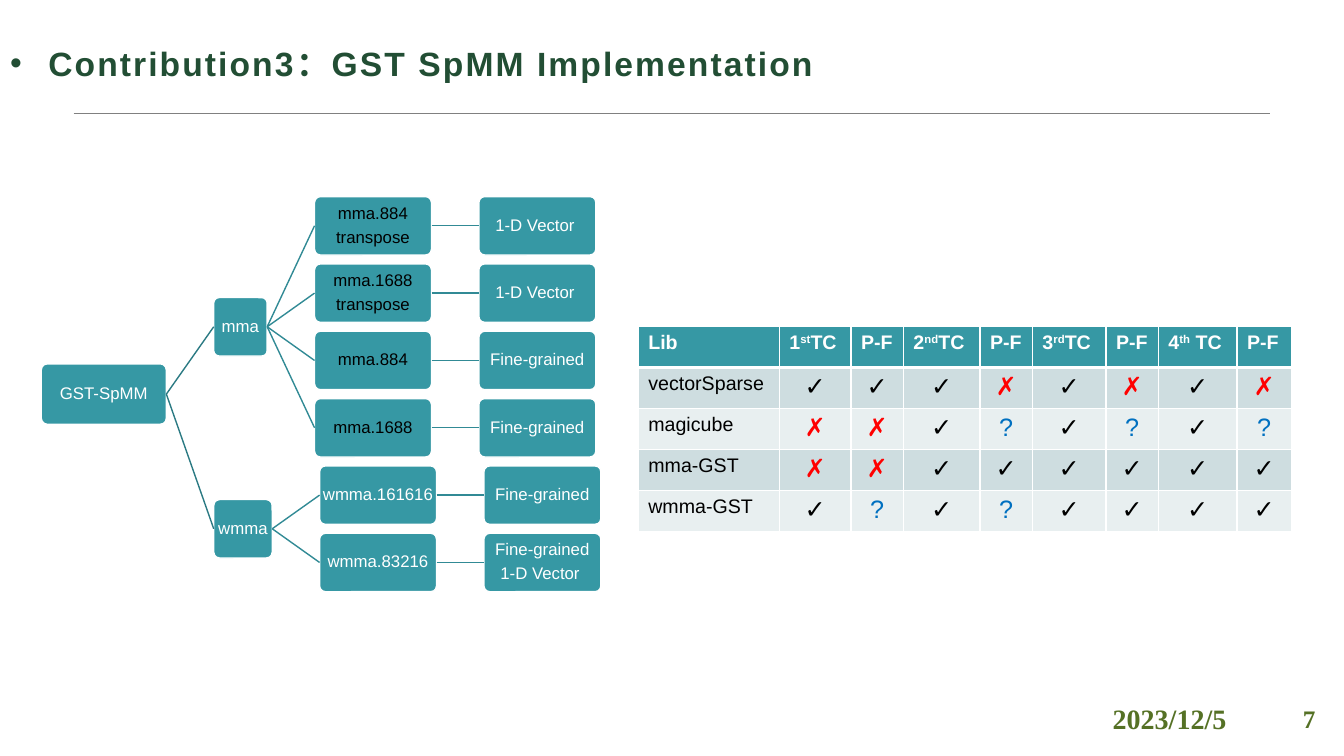
from dataclasses import dataclass

from lxml.etree import SubElement
from pptx import Presentation
from pptx.dml.color import RGBColor
from pptx.enum.shapes import MSO_CONNECTOR, MSO_SHAPE
from pptx.enum.text import MSO_ANCHOR as Anchor, MSO_AUTO_SIZE, PP_ALIGN as Align
from pptx.oxml.ns import qn
from pptx.shapes.autoshape import Shape
from pptx.shapes.connector import Connector
from pptx.slide import Slide
from pptx.table import _Cell as Cell
from pptx.text.text import TextFrame
from pptx.util import Inches, Pt


@dataclass(frozen=True)
class Theme:
    teal: str = "3698A4"
    root_branch: str = "2B7A83"
    branch: str = "318A95"
    band_dark: str = "CEDDE0"
    band_light: str = "E8EFF0"
    title: str = "224E34"
    footer: str = "557125"
    rule: str = "808080"
    white: str = "FFFFFF"
    black: str = "000000"
    red: str = "FF0000"
    blue: str = "0070C0"
    sans: str = "Arial"
    serif: str = "Times New Roman"
    title_size: int = 24
    date_size: int = 20
    number_size: int = 18
    mark_size: int = 18
    table_size: int = 14
    node_size: int = 12


@dataclass(frozen=True)
class Node:
    label: str
    width: float = 1.16
    height: float = 0.58
    color: str = Theme.white
    branch: str = Theme.branch
    children: tuple["Node", ...] = ()


@dataclass(frozen=True)
class FooterItem:
    text: str
    left: float
    width: float
    size: int


VECTOR = (Node("1-D Vector "),)
FINE = (Node("Fine-grained"),)
TREE = Node("GST-SpMM", 1.24, 0.6, branch=Theme.root_branch, children=(
    Node("mma", 0.53, children=(
        Node("mma.884\ntranspose", color=Theme.black, children=VECTOR),
        Node("mma.1688\ntranspose", color=Theme.black, children=VECTOR),
        Node("mma.884", color=Theme.black, children=FINE),
        Node("mma.1688", color=Theme.black, children=FINE))),
    Node("wmma", 0.58, children=(
        Node("wmma.161616", children=FINE),
        Node("wmma.83216", children=(Node("Fine-grained\n1-D Vector "),)))),
))
TREE_LEFT, FIRST_ROW, LAST_ROW, ROWS, BRANCH_GAP = 0.41, 2.24, 5.58, 6, 0.47
ROW_PITCH = (LAST_ROW - FIRST_ROW) / (ROWS - 1)

COLUMN_WIDTHS = (1.4, 0.71, 0.52, 0.76, 0.52, 0.73, 0.52, 0.78, 0.54)
HEADER = ("Lib", "1^st^TC", "P-F", "2^nd^TC", "P-F", "3^rd^TC", "P-F", "4^th^ TC", "P-F")
SUPPORT = {
    "vectorSparse": "✓✓✓✗✓✗✓✗",
    "magicube": "✗✗✓?✓?✓?",
    "mma-GST": "✗✗✓✓✓✓✓✓",
    "wmma-GST": "✓?✓?✓✓✓✓",
}
MARK_COLORS = {"✓": Theme.black, "✗": Theme.red, "?": Theme.blue}

FOOTER = (FooterItem("7", 12.64, 0.69, Theme.number_size),
          FooterItem("2023/12/5", 10.1, 3, Theme.date_size))


def rgb(color: str) -> RGBColor:
    return RGBColor.from_string(color)


def write(frame: TextFrame, text: str, *, size: float, color: str, font: str = Theme.sans,
          bold: bool = False, align: Align = Align.LEFT, line_spacing: float | Pt | None = None,
          space_after: float = 0, tracking: float = 0, bullet_indent: float = 0) -> None:
    """Fill a frame, one paragraph per line; text between carets is superscript."""
    for index, line in enumerate(text.split("\n")):
        paragraph = frame.add_paragraph() if index else frame.paragraphs[0]
        if bullet_indent:
            properties = paragraph._p.get_or_add_pPr()
            properties.set("marL", str(Inches(bullet_indent)))
            properties.set("indent", str(-Inches(bullet_indent)))
            SubElement(properties, qn("a:buFont"), typeface=Theme.sans)
            SubElement(properties, qn("a:buChar"), char="•")
        paragraph.alignment = align
        paragraph.space_before = Pt(0)
        paragraph.space_after = Pt(space_after)
        if line_spacing:
            paragraph.line_spacing = line_spacing
        for part, piece in enumerate(line.split("^")):
            run = paragraph.add_run()
            run.text = piece
            run.font.name, run.font.size, run.font.bold = font, Pt(size), bold
            run.font.color.rgb = rgb(color)
            if part % 2:
                run._r.get_or_add_rPr().set("baseline", "30000")
            if tracking:
                run._r.get_or_add_rPr().set("spc", str(int(tracking * 100)))


def add_line(slide: Slide, color: str, width: float, start: tuple[float, float] = (0, 0),
             end: tuple[float, float] = (0, 0)) -> Connector:
    line = slide.shapes.add_connector(
        MSO_CONNECTOR.STRAIGHT, *(Inches(value) for value in (*start, *end)))
    line.line.color.rgb = rgb(color)
    line.line.width = Pt(width)
    SubElement(line._element.spPr, qn("a:effectLst"))
    return line


def add_title(slide: Slide, text: str) -> None:
    title = slide.shapes.title
    title.left, title.top, title.width, title.height = map(Inches, (0, 0.43, 13.1, 0.46))
    frame = title.text_frame
    frame.auto_size = MSO_AUTO_SIZE.NONE
    frame.vertical_anchor = Anchor.TOP
    write(frame, text, size=Theme.title_size, color=Theme.title, bold=True,
          line_spacing=Pt(25), tracking=1.5, bullet_indent=0.38)


def add_footer_item(slide: Slide, item: FooterItem) -> None:
    frame = slide.shapes.add_textbox(
        *map(Inches, (item.left, 6.93, item.width, 0.4))).text_frame
    frame.word_wrap = True
    frame.vertical_anchor = Anchor.MIDDLE
    write(frame, item.text, size=item.size, color=Theme.footer, font=Theme.serif,
          bold=True, align=Align.CENTER)


def leaf_count(node: Node) -> int:
    return sum(map(leaf_count, node.children)) or 1


def center_row(node: Node, first_row: int) -> float:
    """Row of a node: its leaf row, or the middle of the leaf rows it spans."""
    return first_row + (leaf_count(node) - 1) / 2


def add_node(slide: Slide, node: Node, left: float, center: float) -> Shape:
    box = slide.shapes.add_shape(
        MSO_SHAPE.ROUNDED_RECTANGLE,
        *map(Inches, (left, center - node.height / 2, node.width, node.height)))
    box.adjustments[0] = 0.1
    box.shadow.inherit = False
    box.fill.solid()
    box.fill.fore_color.rgb = rgb(Theme.teal)
    box.line.color.rgb = rgb(Theme.white)
    box.line.width = Pt(1)
    frame = box.text_frame
    frame.word_wrap = True
    frame.vertical_anchor = Anchor.MIDDLE
    frame.margin_left = frame.margin_right = Inches(0.01)
    frame.margin_top = frame.margin_bottom = Inches(0.01)
    write(frame, node.label, size=Theme.node_size, color=node.color, align=Align.CENTER,
          line_spacing=0.9, space_after=0.35 * Theme.node_size)
    return box


def add_tree(slide: Slide, node: Node, left: float, first_row: int = 0) -> Shape:
    """Draw a node, then its subtrees to the right, each joined by a branch."""
    box = add_node(slide, node, left, FIRST_ROW + ROW_PITCH * center_row(node, first_row))
    for child in node.children:
        child_box = add_tree(slide, child, left + node.width + BRANCH_GAP, first_row)
        branch = add_line(slide, node.branch, 1)
        branch.begin_connect(box, 3)
        branch.end_connect(child_box, 1)
        first_row += leaf_count(child)
    return box


def style_cell(cell: Cell, fill: str, top: float, bottom: float) -> None:
    properties = cell._tc.get_or_add_tcPr()
    for side, width in (("L", 1), ("R", 1), ("T", top), ("B", bottom)):
        border = SubElement(properties, qn(f"a:ln{side}"), w=str(Pt(width)))
        SubElement(SubElement(border, qn("a:solidFill")), qn("a:srgbClr"), val=Theme.white)
    cell.fill.solid()
    cell.fill.fore_color.rgb = rgb(fill)


def add_support_table(slide: Slide) -> None:
    rows = [HEADER, *((library, *marks) for library, marks in SUPPORT.items())]
    table = slide.shapes.add_table(
        len(rows), len(HEADER), *map(Inches, (6.33, 3.24, 6.47, 2.03))).table
    for column, width in zip(table.columns, COLUMN_WIDTHS):
        column.width = Inches(width)
    for r, row in enumerate(rows):
        band = Theme.band_dark if r % 2 else Theme.band_light
        for c, text in enumerate(row):
            cell = table.cell(r, c)
            style_cell(cell, band if r else Theme.teal, 3 if r == 1 else 1, 1 if r else 3)
            is_mark = text in MARK_COLORS
            write(cell.text_frame, text, bold=r == 0,
                  size=Theme.mark_size if is_mark else Theme.table_size,
                  color=MARK_COLORS.get(text, Theme.black) if r else Theme.white,
                  align=Align.CENTER if is_mark else Align.LEFT)


def main() -> None:
    deck = Presentation()
    deck.slide_width, deck.slide_height = Inches(13.33), Inches(7.5)
    slide = deck.slides.add_slide(deck.slide_layouts[5])
    add_line(slide, Theme.rule, 0.25, (0.73, 1.12), (12.6, 1.12))
    for item in FOOTER:
        add_footer_item(slide, item)
    add_title(slide, "Contribution3：GST SpMM Implementation")
    add_support_table(slide)
    add_tree(slide, TREE, TREE_LEFT)
    deck.save("out.pptx")


if __name__ == "__main__":
    main()
